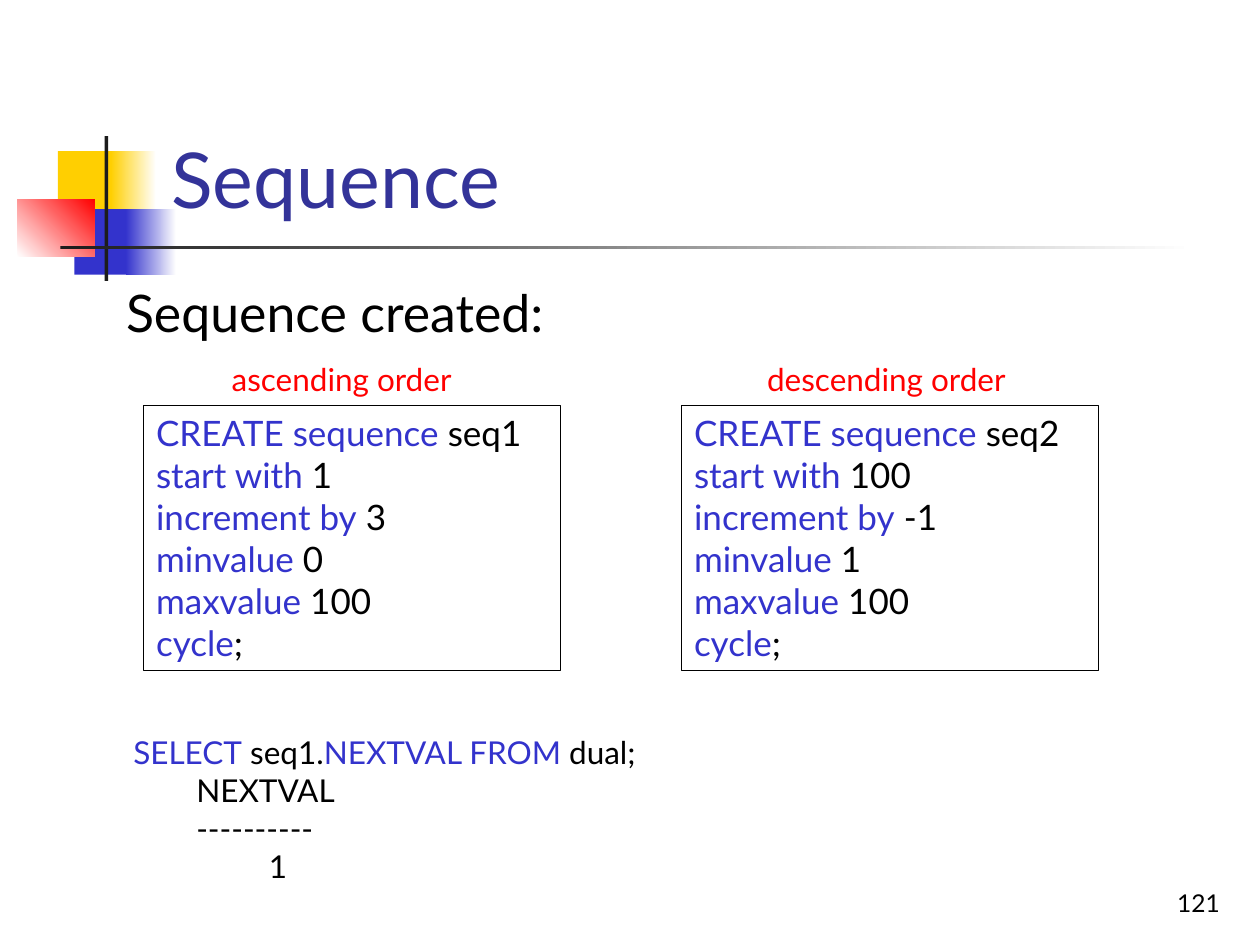
from typing import NamedTuple

from lxml import etree
from pptx import Presentation
from pptx.dml.color import RGBColor
from pptx.enum import shapes, text
from pptx.oxml import ns
from pptx.util import Inches, Pt

FONT = "Lato"
BLACK = RGBColor(0x00, 0x00, 0x00)
WHITE = RGBColor(0xFF, 0xFF, 0xFF)
BLUE = RGBColor(0x33, 0x33, 0xCC)
TITLE_BLUE = RGBColor(0x33, 0x33, 0x99)
YELLOW = RGBColor(0xFF, 0xCF, 0x01)
RED = RGBColor(0xFF, 0x00, 0x00)
DARK = RGBColor(0x1C, 0x1C, 0x1C)


class Box(NamedTuple):
    left: float
    top: float
    width: float
    height: float


class Block(NamedTuple):
    box: Box
    colours: tuple  # one for a solid fill, two for a gradient
    angle: float = 0


class Sequence(NamedTuple):
    name: str
    left: float
    order: str
    order_box: Box
    start: int
    step: int
    low: int
    high: int


DECOR = [
    Block(Box(0.46, 1.2, 0.48, 0.52), (YELLOW,)),
    Block(Box(0.88, 1.2, 0.36, 0.52), (YELLOW, WHITE)),
    Block(Box(0.59, 1.66, 0.46, 0.52), (BLUE,)),
    Block(Box(1, 1.66, 0.4, 0.52), (BLUE, WHITE)),
    Block(Box(0.14, 1.58, 0.61, 0.46), (WHITE, RED), 45),
    Block(Box(0.83, 1.08, 0.03, 1.15), (DARK,)),
    Block(Box(0.48, 1.95, 9, 0.03), (DARK, WHITE)),
]

SEQUENCES = [
    Sequence("seq1", 1.14, "ascending order", Box(1.74, 2.81, 2.12, 0.4), 1, 3, 0, 100),
    Sequence("seq2", 5.41, "descending order", Box(5.99, 2.81, 2.27, 0.4), 100, -1, 1, 100),
]


def inches(box: Box) -> list:
    return [Inches(v) for v in box]


def place(sp, box: Box) -> None:
    sp.left, sp.top, sp.width, sp.height = inches(box)


def write(sp, lines: list, *, size: float, colour=BLACK, align=text.PP_ALIGN.LEFT,
          anchor=text.MSO_ANCHOR.TOP, wrap=True, indents=()) -> None:
    """Write one paragraph per line; a line is a string or a list of (text, colour)."""
    tf = sp.text_frame
    tf.auto_size = text.MSO_AUTO_SIZE.NONE
    tf.word_wrap = wrap
    tf.vertical_anchor = anchor
    for i, line in enumerate(lines):
        p = tf.paragraphs[0] if i == 0 else tf.add_paragraph()
        p.alignment = align
        p.space_before = Pt(0)
        if i < len(indents):
            p._p.get_or_add_pPr().set("marL", str(Inches(indents[i])))
        for words, run_colour in [(line, colour)] if isinstance(line, str) else line:
            r = p.add_run()
            r.text = words
            r.font.name, r.font.size = FONT, Pt(size)
            r.font.color.rgb = run_colour


def add_box(slide, box: Box):
    sp = slide.shapes.add_shape(shapes.MSO_SHAPE.RECTANGLE, *inches(box))
    sp.shadow.inherit = False
    return sp


def add_block(slide, block: Block) -> None:
    sp = add_box(slide, block.box)
    sp.line.fill.background()
    if len(block.colours) == 1:
        sp.fill.solid()
        sp.fill.fore_color.rgb = block.colours[0]
        return
    sp.fill.gradient()
    sp.fill.gradient_angle = block.angle
    for stop, colour, position in zip(sp.fill.gradient_stops, block.colours, (0, 1)):
        stop.color.rgb = colour
        stop.position = position


def add_sequence(slide, seq: Sequence) -> None:
    sp = add_box(slide, Box(seq.left, 3.22, 3.31, 2.1))
    sp.fill.background()
    sp.line.color.rgb = BLACK
    sp.line.width = Pt(0.75)
    clauses = [("CREATE sequence", f" {seq.name}"), ("start with", f" {seq.start}"),
               ("increment by", f" {seq.step}"), ("minvalue", f" {seq.low}"),
               ("maxvalue", f" {seq.high}"), ("cycle", ";")]
    write(sp, [[(word, BLUE), (value, BLACK)] for word, value in clauses], size=20)
    label = slide.shapes.add_textbox(*inches(seq.order_box))
    write(label, [seq.order], size=18, colour=RED, wrap=False)


def main() -> None:
    prs = Presentation()
    prs.slide_width, prs.slide_height = Inches(10), Inches(7.5)
    s = prs.slides.add_slide(prs.slide_layouts[1])
    title, body = s.placeholders

    # Corner decoration, kept behind the placeholders
    for block in DECOR:
        add_block(s, block)
    for sp in (title, body):
        s.shapes._spTree.append(sp._element)

    # Title and lead line
    place(title, Box(1.26, 0.23, 8.52, 1.6))
    write(title, ["Sequence"], size=44, colour=TITLE_BLUE, anchor=text.MSO_ANCHOR.BOTTOM)
    place(body, Box(0.9, 2.18, 4.02, 0.68))
    pPr = body.text_frame.paragraphs[0]._p.get_or_add_pPr()
    pPr.set("indent", "0")
    etree.SubElement(pPr, ns.qn("a:buNone"))
    write(body, ["Sequence created:"], size=29.6, indents=[0])

    # Sequence definitions
    for seq in SEQUENCES:
        add_sequence(s, seq)

    # Query and its output
    query = s.shapes.add_textbox(*inches(Box(0.96, 5.77, 7.79, 1.3)))
    select = [("SELECT", BLUE), (" seq1.", BLACK), ("NEXTVAL FROM", BLUE), (" dual;", BLACK)]
    write(query, [select, "NEXTVAL", "----------", "         1"], size=18,
          indents=[0, 0.5, 0.5, 0.5])

    # Page number
    number = s.shapes.add_textbox(*inches(Box(7.7, 6.83, 2.08, 0.5)))
    write(number, ["121"], size=14, align=text.PP_ALIGN.RIGHT, anchor=text.MSO_ANCHOR.BOTTOM)

    prs.save("out.pptx")


if __name__ == "__main__":
    main()
